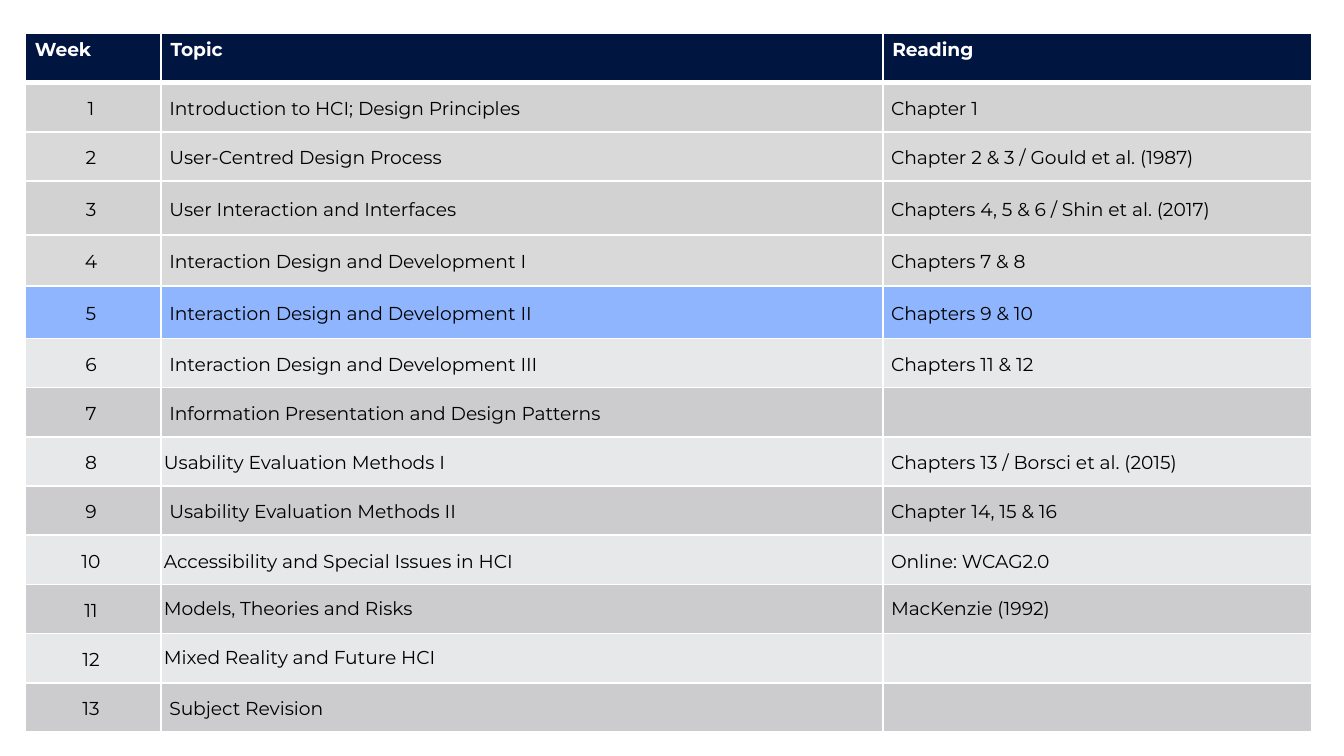
from dataclasses import dataclass

from lxml.etree import SubElement
from pptx import Presentation
from pptx.dml.color import RGBColor
from pptx.enum.text import MSO_ANCHOR, PP_ALIGN
from pptx.oxml.ns import qn
from pptx.table import _Cell
from pptx.util import Inches, Pt

COLOURS = {
    "navy": "001641",
    "white": "FFFFFF",
    "black": "000000",
    "past_odd": "D2D2D2",
    "past_even": "D9D9D9",
    "current": "90B5FF",
    "next_odd": "CCCCCF",
    "next_even": "E7E8E9",
}
FONT = "Montserrat"
PAGE_WIDTH = 10
CURRENT_WEEK = 5
COLUMN_WIDTHS = [1.01, 5.37, 3.19]
TABLE_HEIGHT = 5.2
TALLER_ROWS = {3: 0.4, 4: 0.38, 5: 0.39}
HEADER_INSETS = (0.07, 0.04)
BODY_INSETS = (0.06, 0)
TIGHT_INSETS = (0.02, 0.02)


@dataclass
class Week:
    topic: str
    reading: str = ""
    topic_insets: tuple[float, float] = BODY_INSETS
    spacing: float = 1.15


WEEKS = [
    Week("Introduction to HCI; Design Principles", "Chapter 1"),
    Week("User-Centred Design Process", "Chapter 2 & 3 / Gould et al. (1987)"),
    Week("User Interaction and Interfaces", "Chapters 4, 5 & 6 / Shin et al. (2017)"),
    Week("Interaction Design and Development I", "Chapters 7 & 8"),
    Week("Interaction Design and Development II", "Chapters 9 & 10"),
    Week("Interaction Design and Development III", "Chapters 11 & 12"),
    Week("Information Presentation and Design Patterns"),
    Week("Usability Evaluation Methods I", "Chapters 13 / Borsci et al. (2015)", TIGHT_INSETS),
    Week("Usability Evaluation Methods II", "Chapter 14, 15 & 16"),
    Week("Accessibility and Special Issues in HCI", "Online: WCAG2.0", TIGHT_INSETS),
    Week("Models, Theories and Risks", "MacKenzie (1992)", TIGHT_INSETS, 1),
    Week("Mixed Reality and Future HCI", "", TIGHT_INSETS, 1),
    Week("Subject Revision"),
]


def row_heights() -> list[float]:
    """Share what the taller rows leave equally among the other rows."""
    count = len(WEEKS) + 1
    regular = (TABLE_HEIGHT - sum(TALLER_ROWS.values())) / (count - len(TALLER_ROWS))
    return [TALLER_ROWS.get(row, regular) for row in range(count)]


def week_fill(number: int) -> str:
    if number == CURRENT_WEEK:
        return "current"
    period = "past" if number < CURRENT_WEEK else "next"
    return f"{period}_{'odd' if number % 2 else 'even'}"


def style_cell(cell: _Cell, fill: str, insets: tuple[float, float],
               top: float = 1, bottom: float = 1) -> None:
    """Set white borders (widths in points), fill and (side, top/bottom) insets."""
    properties = cell._tc.get_or_add_tcPr()
    for side, width in {"L": 1, "R": 1, "T": top, "B": bottom}.items():
        line = SubElement(properties, qn(f"a:ln{side}"), w=str(Pt(width)))
        solid = SubElement(line, qn("a:solidFill"))
        SubElement(solid, qn("a:srgbClr"), val=COLOURS["white"])
    cell.fill.solid()
    cell.fill.fore_color.rgb = RGBColor.from_string(COLOURS[fill])
    cell.margin_left = cell.margin_right = Inches(insets[0])
    cell.margin_top = cell.margin_bottom = Inches(insets[1])


def write_cell(cell: _Cell, text: str, colour: str, bold: bool = False,
               align: PP_ALIGN = PP_ALIGN.LEFT, spacing: float = 1) -> None:
    if not text:
        return
    para = cell.text_frame.paragraphs[0]
    para.alignment = align
    para.line_spacing = spacing
    span = para.add_run()
    span.text = text
    span.font.name = FONT
    span.font.size = Pt(10)
    span.font.bold = bold
    span.font.color.rgb = RGBColor.from_string(COLOURS[colour])


def main() -> None:
    deck = Presentation()
    deck.slide_width, deck.slide_height = Inches(PAGE_WIDTH), Inches(PAGE_WIDTH * 9 / 16)
    page = deck.slides.add_slide(deck.slide_layouts[6])

    heights = row_heights()
    schedule = page.shapes.add_table(
        len(heights), len(COLUMN_WIDTHS), Inches(0.19), Inches(0.25),
        Inches(sum(COLUMN_WIDTHS)), Inches(TABLE_HEIGHT)).table
    for column, width in zip(schedule.columns, COLUMN_WIDTHS):
        column.width = Inches(width)
    for row, height in zip(schedule.rows, heights):
        row.height = Inches(height)

    for column, title in enumerate(["Week", "Topic", "Reading"]):
        cell = schedule.cell(0, column)
        style_cell(cell, "navy", HEADER_INSETS, bottom=3)
        write_cell(cell, title, "white", bold=True)

    for number, week in enumerate(WEEKS, start=1):
        columns = [
            (f"{number} ", BODY_INSETS, PP_ALIGN.CENTER, 1.15),
            (week.topic, week.topic_insets, PP_ALIGN.LEFT, week.spacing),
            (week.reading, BODY_INSETS, PP_ALIGN.LEFT, week.spacing),
        ]
        for column, (text, insets, align, spacing) in enumerate(columns):
            cell = schedule.cell(number, column)
            style_cell(cell, week_fill(number), insets, top=3 if number == 1 else 1)
            cell.vertical_anchor = MSO_ANCHOR.MIDDLE
            write_cell(cell, text, "black", align=align, spacing=spacing)

    deck.save("out.pptx")


if __name__ == "__main__":
    main()
